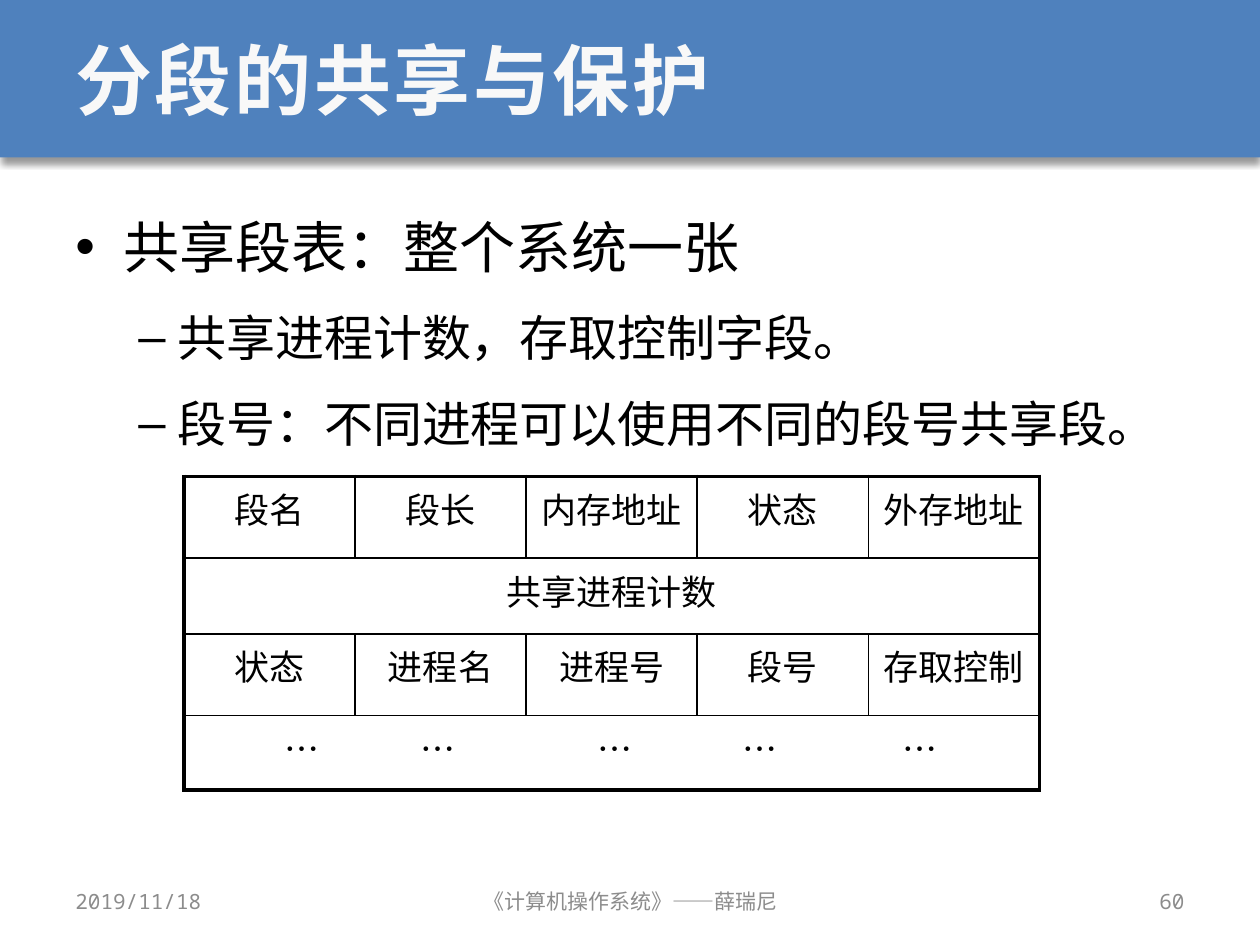
from lxml import etree
from pptx import Presentation, util as u
from pptx.dml.color import RGBColor
from pptx.enum import shapes, text
from pptx.oxml.ns import qn

THEME = {
    "band": "4F81BD", "title": "F8F8F8", "ink": "000000", "muted": "8C8C8C",
    "mono": "Noto Sans Mono", "cjk": "Noto Sans CJK SC",
    "title_pt": 44, "bullet_pt": 32, "sub_pt": 28, "cell_pt": 20, "foot_pt": 12,
    "thin": 1, "thick": 2.25,
}
LEFT, CENTER, RIGHT = text.PP_ALIGN.LEFT, text.PP_ALIGN.CENTER, text.PP_ALIGN.RIGHT
TOP, MIDDLE = text.MSO_ANCHOR.TOP, text.MSO_ANCHOR.MIDDLE

prs = Presentation()
prs.slide_width, prs.slide_height = u.Inches(10), u.Inches(7.5)
W, H = prs.slide_width, prs.slide_height
MARGIN = 0.05
s = prs.slides.add_slide(prs.slide_layouts[6])


def write(p, words, size, color, font, bold=False, align=LEFT, **spacing):
    """Fill one paragraph with one formatted run."""
    for key, value in {"alignment": align, **spacing}.items():
        setattr(p, key, value)
    r = p.add_run()
    r.text = words
    for key, value in {"size": u.Pt(size), "bold": bold, "name": font}.items():
        setattr(r.font, key, value)
    r.font.color.rgb = RGBColor.from_string(color)
    etree.SubElement(r.font._element, qn("a:ea")).set("typeface", THEME["cjk"])
    return r


def add_box(x, y, w, h, anchor):
    """Add a wrapping text box, placed by shares of the slide."""
    tf = s.shapes.add_textbox(int(x * W), int(y * H), int(w * W), int(h * H)).text_frame
    tf.word_wrap, tf.vertical_anchor = True, anchor
    return tf


# Title band with a soft shadow below
band = s.shapes.add_shape(shapes.MSO_SHAPE.RECTANGLE, 0, 0, W, H // 6)
band.fill.solid()
band.fill.fore_color.rgb = RGBColor.from_string(THEME["band"])
band.line.fill.background()
band.shadow.inherit = False
effects = band._element.spPr.find(qn("a:effectLst"))
shadow = etree.SubElement(effects, qn("a:outerShdw"), blurRad=str(u.Pt(4)),
                          dist=str(u.Pt(3)), dir="5400000", algn="t", rotWithShape="0")
shade = etree.SubElement(shadow, qn("a:srgbClr"), val=THEME["ink"])
etree.SubElement(shade, qn("a:alpha"), val="40000")

# Title
tf = add_box(MARGIN, 0, 1 - 2 * MARGIN, 1 / 6, MIDDLE)
r = write(tf.paragraphs[0], "分段的共享与保护", THEME["title_pt"], THEME["title"],
          THEME["mono"], bold=True)
r.font._element.set("spc", "150")

# Bullets: level, mark, text indent, hanging indent, size, words
bullets = [
    (0, "•", 0.38, 0.38, THEME["bullet_pt"], "共享段表：整个系统一张"),
    (1, "–", 0.81, 0.31, THEME["sub_pt"], "共享进程计数，存取控制字段。"),
    (1, "–", 0.81, 0.31, THEME["sub_pt"], "段号：不同进程可以使用不同的段号共享段。"),
]
tf = add_box(MARGIN, 0.197, 1 - 2 * MARGIN, 0.71, TOP)
for i, (level, mark, indent, hang, size, words) in enumerate(bullets):
    p = tf.paragraphs[0] if i == 0 else tf.add_paragraph()
    write(p, words, size, THEME["ink"], THEME["mono"], level=level,
          line_spacing=1.3, space_before=u.Pt(size * 0.2))
    pPr = p._p.get_or_add_pPr()
    pPr.set("marL", str(u.Inches(indent)))
    pPr.set("indent", str(-u.Inches(hang)))
    etree.SubElement(pPr, qn("a:buFont"), typeface="Arial")
    etree.SubElement(pPr, qn("a:buChar"), char=mark)

# Shared segment table: a one-item row spans every column
rows = [
    ["段名", "段长", "内存地址", "状态", "外存地址"],
    ["共享进程计数"],
    ["状态", "进程名", "进程号", "段号", "存取控制"],
    ["\t…\t…\t…\t…\t…"],
]
row_heights = [0.65, 0.6, 0.65, 0.59]
ellipsis_stops = [0.84, 1.92, 3.32, 4.47, 5.74]
last_row, last_col = len(rows) - 1, len(rows[0]) - 1
table = s.shapes.add_table(len(rows), len(rows[0]), int(0.146 * W), int(0.504 * H),
                           int(0.679 * W), u.Inches(sum(row_heights))).table
table.first_row = table.horz_banding = False
for row, height in zip(table.rows, row_heights):
    row.height = u.Inches(height)

for i, words in enumerate(rows):
    spans = len(words) == 1
    if spans:
        table.cell(i, 0).merge(table.cell(i, last_col))
    for j in range(last_col + 1):
        cell = table.cell(i, j)
        tcPr = cell._tc.get_or_add_tcPr()
        outer = {"L": j == 0, "R": spans or j == last_col,
                 "T": i == 0, "B": i == last_row}
        for side, is_outer in outer.items():
            width = THEME["thick"] if is_outer else THEME["thin"]
            ln = etree.SubElement(tcPr, qn(f"a:ln{side}"), w=str(u.Pt(width)))
            fill = etree.SubElement(ln, qn("a:solidFill"))
            etree.SubElement(fill, qn("a:srgbClr"), val=THEME["ink"])
        cell.fill.background()
        if j < len(words):
            tabbed = "\t" in words[j]
            p = cell.text_frame.paragraphs[0]
            write(p, words[j], THEME["cell_pt"], THEME["ink"], THEME["cjk"],
                  align=LEFT if tabbed else CENTER,
                  space_before=u.Pt(THEME["cell_pt"] * 0.2))
            if tabbed:
                tabs = etree.SubElement(p._p.get_or_add_pPr(), qn("a:tabLst"))
                for stop in ellipsis_stops:
                    etree.SubElement(tabs, qn("a:tab"), pos=str(u.Inches(stop)), algn="ctr")

# Footer: date, course, page number
footers = [
    (MARGIN, 0.233, LEFT, "2019/11/18"),
    (0.342, 0.317, CENTER, "《计算机操作系统》——薛瑞尼"),
    (0.717, 0.233, RIGHT, "60"),
]
for x, w, align, words in footers:
    tf = add_box(x, 0.927, w, 0.053, MIDDLE)
    write(tf.paragraphs[0], words, THEME["foot_pt"], THEME["muted"], THEME["mono"], align=align)

prs.save("out.pptx")
